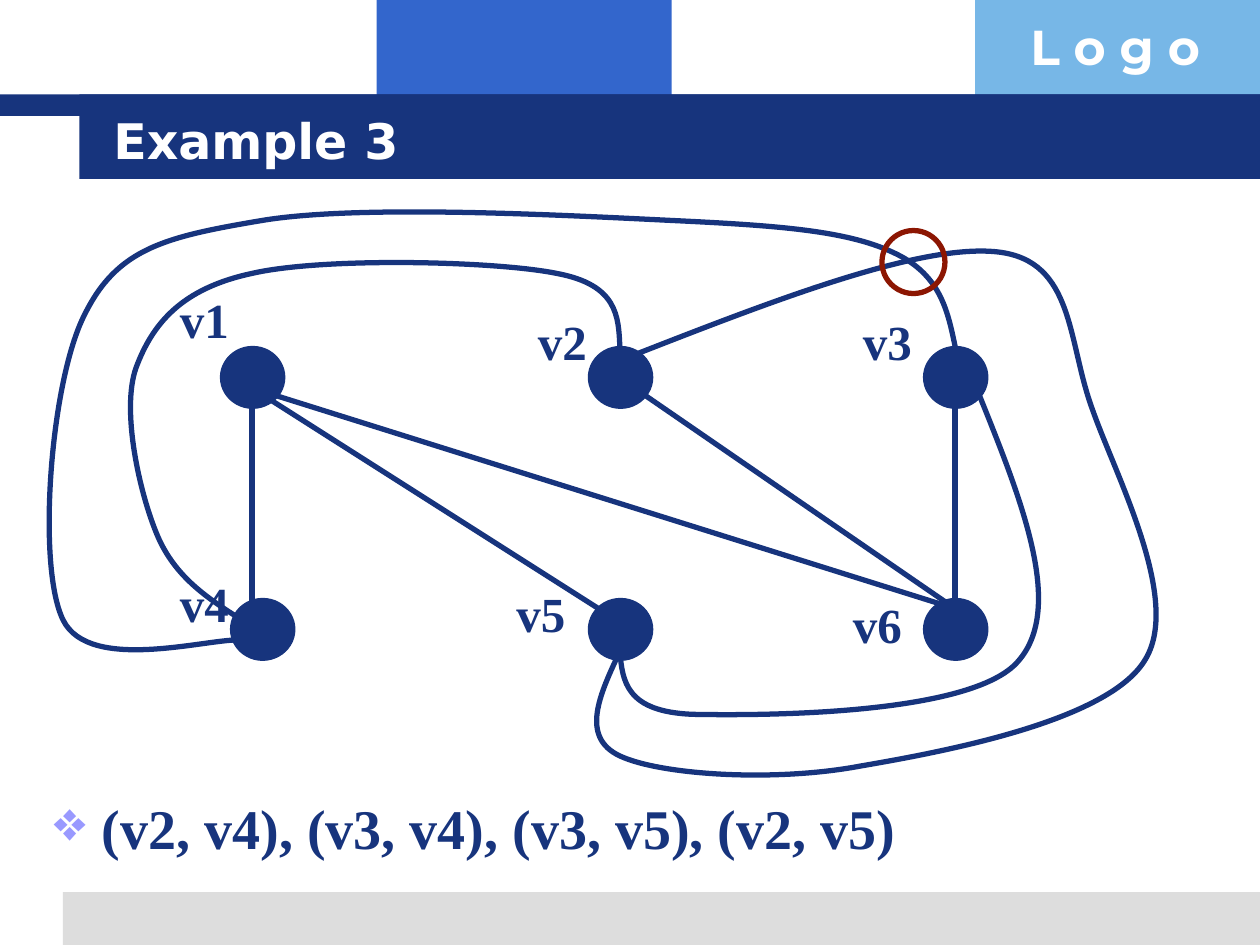
"""Build the Example 3 slide: a six-vertex graph with one crossing."""
from pptx import Presentation
from pptx.dml.color import RGBColor
from pptx.enum.shapes import MSO_CONNECTOR, MSO_SHAPE
from pptx.enum.text import MSO_ANCHOR, PP_ALIGN
from pptx.oxml import parse_xml
from pptx.oxml.ns import nsdecls
from pptx.oxml.xmlchemy import OxmlElement
from pptx.util import Inches, Pt

COLORS = {"navy": "17347D", "blue": "3366CC", "sky": "77B7E7", "gray": "DDDDDD",
          "white": "FFFFFF", "lilac": "9999FF", "red": "8C1602"}
BANDS = [
    ("blue", (2.99, 0, 2.34, 0.92)),
    ("sky", (7.74, 0, 2.26, 0.92)),
    ("gray", (0.5, 7.08, 9.5, 0.42)),
    ("navy", (0, 0.75, 10, 0.17)),
    ("navy", (0.63, 0.75, 9.37, 0.67)),
]
LOGO_FORMAT = {"name": "Montserrat", "size": Pt(28), "bold": True}
TITLE_FORMAT = {"name": "DejaVu Sans", "size": Pt(28), "bold": True}
LABEL_FORMAT = {"name": "Times New Roman", "size": Pt(28), "bold": True}
BODY_FORMAT = {"name": "Times New Roman", "size": Pt(32), "bold": True}

VERTEX_SIZE = (0.51, 0.49)
VERTICES = {
    "v1": {"corner": (1.75, 2.75), "label": (1.33, 2.25)},
    "v2": {"corner": (4.67, 2.75), "label": (4.17, 2.42)},
    "v3": {"corner": (7.33, 2.75), "label": (6.75, 2.42)},
    "v4": {"corner": (1.83, 4.75), "label": (1.33, 4.5)},
    "v5": {"corner": (4.67, 4.75), "label": (4, 4.58)},
    "v6": {"corner": (7.33, 4.75), "label": (6.67, 4.67)},
}
STRAIGHT_EDGES = [
    ((2, 3.08), (2, 4.92)),
    ((2, 3.08), (4.75, 4.83)),
    ((4.92, 3), (7.58, 4.83)),
    ((7.58, 3.08), (7.58, 4.83)),
    ((2, 3.08), (7.58, 4.83)),
]
CURVED_EDGES = {
    "v2-v4": [(4.92, 2.75), (4.91, 2.51), (4.9, 2.26), (4.42, 2.17),
              (3.93, 2.07), (2.56, 2.04), (2, 2.17),
              (1.44, 2.29), (1.21, 2.57), (1.08, 2.92),
              (0.96, 3.26), (1.11, 3.92), (1.25, 4.25),
              (1.39, 4.58), (1.65, 4.75), (1.92, 4.92)],
    "v3-v4": [(7.58, 2.75), (7.52, 2.46), (7.46, 2.17), (7.08, 2),
              (6.71, 1.83), (6.17, 1.79), (5.33, 1.75),
              (4.5, 1.71), (2.86, 1.62), (2.08, 1.75),
              (1.31, 1.88), (0.93, 1.97), (0.67, 2.5),
              (0.4, 3.03), (0.29, 4.49), (0.5, 4.92),
              (0.71, 5.35), (1.67, 5.06), (1.92, 5.08)],
    "v3-v5": [(4.92, 5.17), (4.94, 5.41), (4.97, 5.65), (5.5, 5.67),
              (6.03, 5.68), (7.71, 5.68), (8.08, 5.25),
              (8.46, 4.82), (8.1, 3.95), (7.75, 3.08)],
    "v2-v5": [(4.92, 5.17), (4.76, 5.51), (4.6, 5.85), (4.92, 6),
              (5.24, 6.15), (6.14, 6.21), (6.83, 6.08),
              (7.53, 5.96), (8.78, 5.72), (9.08, 5.25),
              (9.39, 4.78), (8.86, 3.79), (8.67, 3.25),
              (8.47, 2.71), (8.53, 2.07), (7.92, 2),
              (7.31, 1.93), (6.15, 2.38), (5, 2.83)],
}


def inches(values):
    return [Inches(value) for value in values]


def rgb(name):
    return RGBColor.from_string(COLORS[name])


def style_line(line, color, width):
    line.color.rgb = rgb(color)
    line.width = Pt(width)


def add_filled(slide, kind, box, color):
    shape = slide.shapes.add_shape(kind, *inches(box))
    shape.shadow.inherit = False
    shape.fill.solid()
    shape.fill.fore_color.rgb = rgb(color)
    shape.line.fill.background()
    return shape


def write(shape, text, font_format, color):
    shape.text_frame.word_wrap = True
    paragraph = shape.text_frame.paragraphs[0]
    paragraph.text = text
    paragraph.alignment = PP_ALIGN.LEFT
    font = paragraph.runs[0].font
    for name, value in font_format.items():
        setattr(font, name, value)
    font.color.rgb = rgb(color)
    return paragraph


def add_text(slide, box, text, font_format, color):
    return write(slide.shapes.add_textbox(*inches(box)), text, font_format, color)


def add_straight_edge(slide, start, end):
    connector = slide.shapes.add_connector(MSO_CONNECTOR.STRAIGHT, *inches(start + end))
    style_line(connector.line, "navy", 3)
    connector.element.spPr.append(OxmlElement("a:effectLst"))


def add_curved_edge(slide, points):
    start, *controls = [inches(point) for point in points]
    builder = slide.shapes.build_freeform(*start)
    builder.add_line_segments(controls, close=False)
    shape = builder.convert_to_shape()
    steps = shape.element.xpath(".//a:lnTo")
    for index in range(0, len(steps), 3):
        curve = OxmlElement("a:cubicBezTo")
        steps[index].addprevious(curve)
        for step in steps[index:index + 3]:
            curve.append(step[0])
            step.getparent().remove(step)
    shape.shadow.inherit = False
    shape.fill.background()
    style_line(shape.line, "navy", 3)


def add_bullet(paragraph, symbol, color, indent):
    properties = paragraph._p.get_or_add_pPr()
    properties.set("marL", str(Inches(indent)))
    properties.set("indent", str(-Inches(indent)))
    for xml in (f'<a:buClr {nsdecls("a")}><a:srgbClr val="{COLORS[color]}"/></a:buClr>',
                f'<a:buChar {nsdecls("a")} char="{symbol}"/>'):
        properties.append(parse_xml(xml))


def main():
    presentation = Presentation()
    presentation.slide_width, presentation.slide_height = inches((10, 7.5))
    slide = presentation.slides.add_slide(presentation.slide_layouts[5])

    for color, box in BANDS:
        add_filled(slide, MSO_SHAPE.RECTANGLE, box, color)
    add_text(slide, (8.08, 0.08, 1.93, 0.57), "L o g o", LOGO_FORMAT, "white")

    title = slide.shapes.title
    title.left, title.top, title.width, title.height = inches((0.8, 0.8, 8.53, 0.62))
    title.text_frame.vertical_anchor = MSO_ANCHOR.MIDDLE
    write(title, "Example 3", TITLE_FORMAT, "white")
    slide.shapes.element.append(title.element)

    for start, end in STRAIGHT_EDGES:
        add_straight_edge(slide, start, end)
    for vertex in VERTICES.values():
        dot = add_filled(slide, MSO_SHAPE.OVAL, vertex["corner"] + VERTEX_SIZE, "navy")
        style_line(dot.line, "navy", 0.75)
    for name, vertex in VERTICES.items():
        add_text(slide, vertex["label"] + (0.75, 0.57), name, LABEL_FORMAT, "navy")

    pairs = add_text(slide, (0.33, 6.25, 9, 0.92),
                     "(v2, v4), (v3, v4), (v3, v5), (v2, v5)", BODY_FORMAT, "navy")
    add_bullet(pairs, "❖", "lilac", 0.38)

    for points in CURVED_EDGES.values():
        add_curved_edge(slide, points)
    crossing = add_filled(slide, MSO_SHAPE.OVAL, (7, 1.83, 0.5, 0.5), "white")
    crossing.fill.background()
    style_line(crossing.line, "red", 3)

    presentation.save("out.pptx")


if __name__ == "__main__":
    main()
